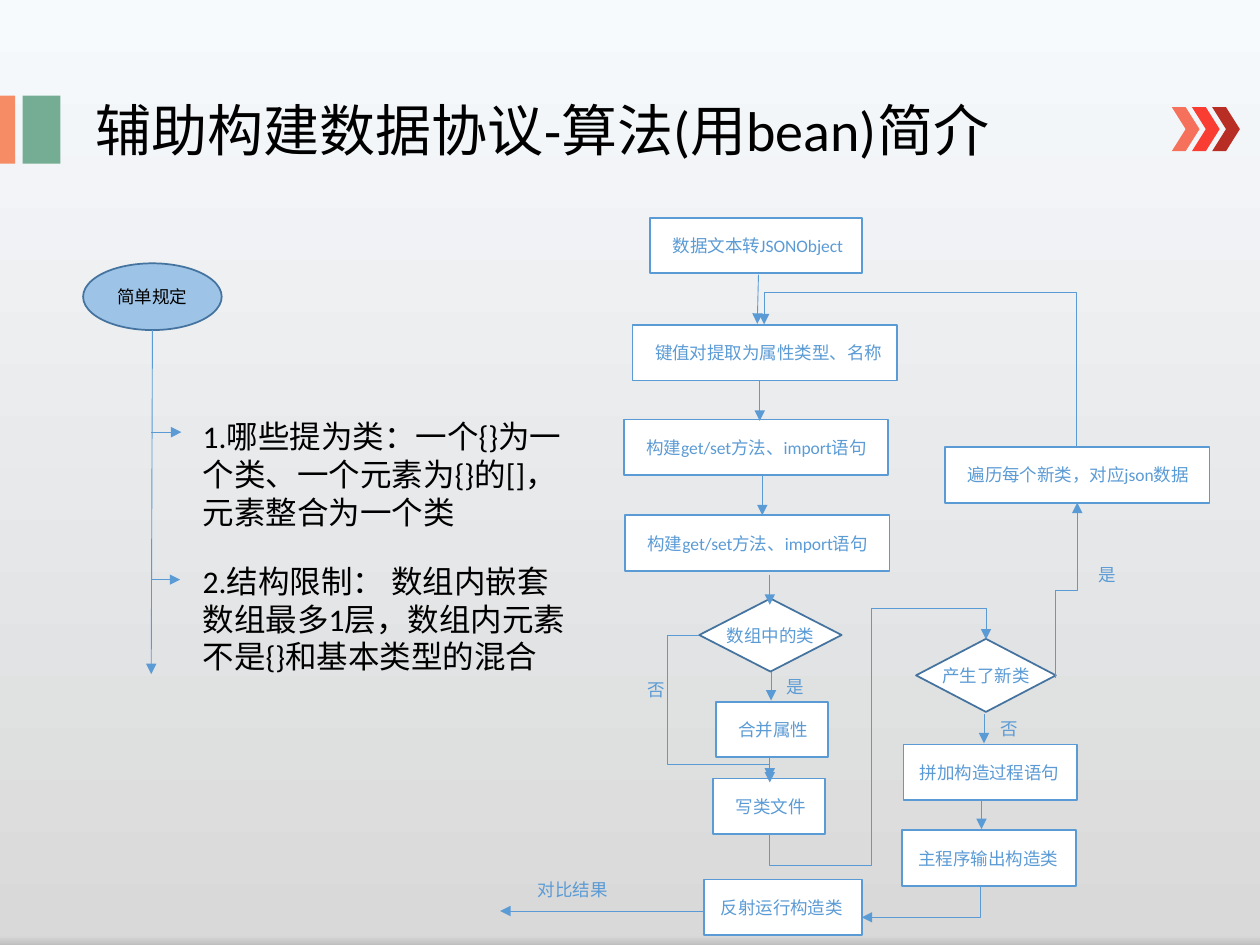
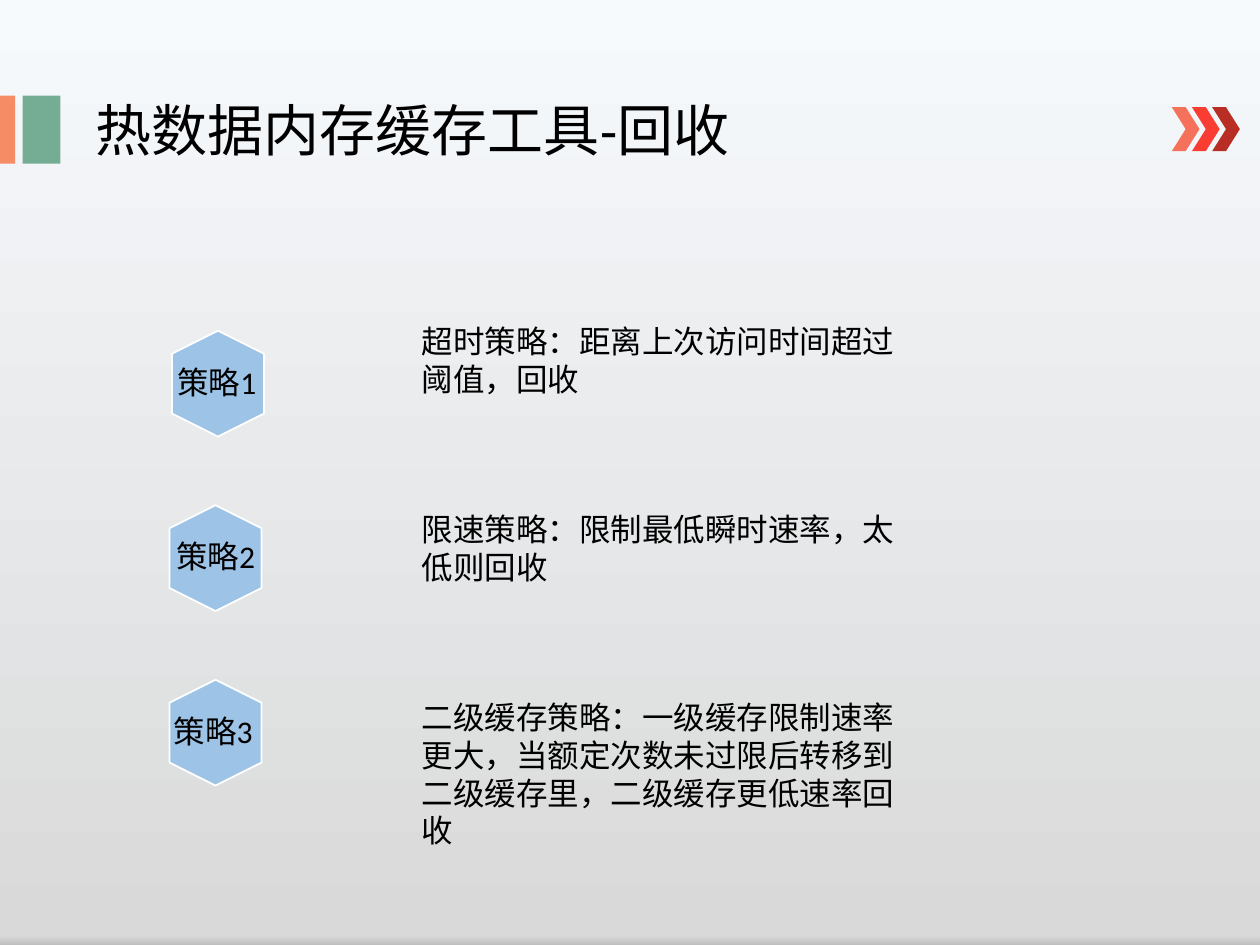
from lxml import etree
from pptx import Presentation
from pptx.dml.color import RGBColor
from pptx.enum.shapes import MSO_CONNECTOR, MSO_SHAPE
from pptx.enum.text import MSO_ANCHOR, PP_ALIGN
from pptx.oxml import parse_xml
from pptx.oxml.ns import nsdecls, qn
from pptx.util import Inches, Pt

RECTANGLE = MSO_SHAPE.RECTANGLE
DIAMOND = MSO_SHAPE.DIAMOND
OVAL = MSO_SHAPE.OVAL
HEXAGON = MSO_SHAPE.HEXAGON
CHEVRON = MSO_SHAPE.CHEVRON
STRAIGHT, ELBOW = MSO_CONNECTOR.STRAIGHT, MSO_CONNECTOR.ELBOW
LEFT, CENTER = PP_ALIGN.LEFT, PP_ALIGN.CENTER
TOP, MIDDLE = MSO_ANCHOR.TOP, MSO_ANCHOR.MIDDLE

FONT = "Calibri"
COLORS = {
    "black": "000000", "white": "FFFFFF", "blue": "5B9BD5", "dark_blue": "43739E",
    "light_blue": "9DC3E6", "orange": "F58C65", "green": "74AD93",
    "coral": "F5715B", "red": "F93D32", "dark_red": "B82E24",
}
BACKGROUND_STOPS = [(0, "F7FAFD"), (99, "D9D9D9"), (100, "BFBFBF")]
TITLE_BARS = [(0, 0.12, "orange"), (0.18, 0.3, "green")]
CHEVRONS = ["coral", "red", "dark_red"]

ALGORITHM_TITLE = "辅助构建数据协议-算法(用bean)简介"
RECYCLING_TITLE = "热数据内存缓存工具-回收"

STEPS = [
    ("数据文本转JSONObject", 5.16, 1.73, 1.68, 0.18),
    ("键值对提取为属性类型、名称", 5.02, 2.58, 2.1, 0.18),
    ("构建get/set方法、import语句", 4.95, 3.33, 2.1, 0.18),
    ("构建get/set方法、import语句", 4.96, 4.09, 2.1, 0.18),
    ("合并属性", 5.68, 5.57, 0.89, 0.18),
    ("写类文件", 5.66, 6.18, 0.89, 0.18),
    ("遍历每个新类，对应json数据", 7.5, 3.55, 2.1, 0.18),
    ("拼加构造过程语句", 7.17, 5.91, 1.38, 0.13),
    ("主程序输出构造类", 7.16, 6.59, 1.38, 0.13),
    ("反射运行构造类", 5.59, 6.98, 1.25, 0.13),
]
DECISIONS = [("数组中的类", 5.55, 4.75, 1.13), ("产生了新类", 7.27, 5.07, 1.11)]
BRANCH_LABELS = [
    ("是", 6.14, 5.32), ("否", 5.04, 5.34), ("否", 7.84, 5.65),
    ("是", 8.62, 4.43), ("对比结果", 4.17, 6.93),
]
RULES = [
    ("1.哪些提为类：一个{}为一个类、一个元素为{}的[]，元素整合为一个类", 3.26),
    ("2.结构限制： 数组内嵌套数组最多1层，数组内元素不是{}和基本类型的混合", 4.41),
]
ARROWS = [
    (6.02, 2.18, 6.01, 2.57), (6.03, 3.02, 6.03, 3.34), (6.05, 3.78, 6.05, 4.09),
    (6.11, 4.56, 6.11, 4.8), (6.12, 5.33, 6.12, 5.56), (6.11, 6.01, 6.11, 6.21),
    (7.81, 5.67, 7.81, 5.9), (7.79, 6.35, 7.79, 6.58), (5.59, 7.23, 3.97, 7.23),
    (1.21, 2.62, 1.2, 5.35), (1.2, 3.43, 1.44, 3.43), (1.2, 4.6, 1.43, 4.6),
]
ELBOWS = [
    ((7.74, 6.71, 6.19, 4.99), 90, [-0.16, 0.47, 1.16]),
    ((9.16, 4.77, 7.77, 4.6), 90, [0.5]),
    ((6.82, 4.3, 7.79, 1.82), 270, [1.26]),
    ((6.84, 7.28, 7.81, 7.03), 180, [0.03]),
    ((6.11, 6.18, 5.55, 5.04), 180, [-0.45, 0.9]),
]

STRATEGIES = [
    ("策略1", 1.31, 1.31, "超时策略：距离上次访问时间超过阈值，回收", 0.71),
    ("策略2", 1.29, 1.3, "限速策略：限制最低瞬时速率，太低则回收", 0.71),
    ("策略3", 1.29, 1.28, "二级缓存策略：一级缓存限制速率更大，当额定次数未过限后转移到二级缓存里，二级缓存更低速率回收", 1.31),
]


def rgb(name):
    return RGBColor.from_string(COLORS[name])


def write(shape, text, size, color, align=LEFT, anchor=TOP, margins=None, wrap=True):
    frame = shape.text_frame
    frame.word_wrap = wrap
    frame.vertical_anchor = anchor
    if margins:
        frame.margin_left, frame.margin_right = (Inches(margin) for margin in margins)
        frame.margin_top = frame.margin_bottom = 0
    paragraph = frame.paragraphs[0]
    paragraph.text = text
    paragraph.alignment = align
    paragraph.font.name = FONT
    paragraph.font.size = Pt(size)
    paragraph.font.color.rgb = rgb(color)


def add_text(page, text, left, top, width, height, size, color="black"):
    box = page.shapes.add_textbox(Inches(left), Inches(top), Inches(width), Inches(height))
    write(box, text, size, color)


def add_block(page, kind, left, top, width, height, fill, line=None):
    block = page.shapes.add_shape(kind, Inches(left), Inches(top), Inches(width), Inches(height))
    block.shadow.inherit = False
    block.fill.solid()
    block.fill.fore_color.rgb = rgb(fill)
    if line:
        block.line.color.rgb = rgb(line)
        block.line.width = Pt(1)
    else:
        block.line.fill.background()
    return block


def add_arrow(page, ends, kind=STRAIGHT):
    arrow = page.shapes.add_connector(kind, *(Inches(value) for value in ends))
    arrow.line.color.rgb = rgb("blue")
    arrow.line.width = Pt(0.5)
    etree.SubElement(arrow.line._get_or_add_ln(), qn("a:tailEnd"), type="triangle")
    etree.SubElement(arrow._element.spPr, qn("a:effectLst"))
    return arrow


def add_elbow(page, ends, rotation, adjustments):
    properties = add_arrow(page, ends, ELBOW)._element.spPr
    properties.find(qn("a:xfrm")).set("rot", str(rotation * 60000))
    geometry = properties.find(qn("a:prstGeom"))
    geometry.set("prst", f"bentConnector{len(adjustments) + 2}")
    guides = geometry.find(qn("a:avLst"))
    for number, value in enumerate(adjustments, 1):
        etree.SubElement(guides, qn("a:gd"), name=f"adj{number}", fmla=f"val {round(value * 100000)}")


def add_page(deck, title):
    page = deck.slides.add_slide(deck.slide_layouts[6])
    stops = "".join(
        f'<a:gs pos="{position * 1000}"><a:srgbClr val="{color}"/></a:gs>'
        for position, color in BACKGROUND_STOPS
    )
    page.element.cSld.insert(0, parse_xml(
        f'<p:bg {nsdecls("p", "a")}><p:bgPr><a:gradFill rotWithShape="1"><a:gsLst>{stops}</a:gsLst>'
        '<a:lin ang="5400000" scaled="0"/></a:gradFill><a:effectLst/></p:bgPr></p:bg>'
    ))
    for left, width, color in TITLE_BARS:
        add_block(page, RECTANGLE, left, 0.76, width, 0.54, color)
    add_text(page, title, 0.66, 0.71, 7.36, 0.64, 32)
    for index, color in enumerate(CHEVRONS):
        add_block(page, CHEVRON, 9.3 + 0.16 * index, 0.85, 0.22, 0.35, color)
    return page


def build_algorithm(deck):
    page = add_page(deck, ALGORITHM_TITLE)
    for text, left, top, width, inset in STEPS:
        step = add_block(page, RECTANGLE, left, top, width, 0.44, "white", "blue")
        write(step, text, 10, "blue", LEFT, MIDDLE, (inset, 0))
    for text, left, top, width in DECISIONS:
        decision = add_block(page, DIAMOND, left, top, width, 0.58, "white", "dark_blue")
        write(decision, text, 10, "blue", CENTER, MIDDLE, (0, 0), wrap=False)
    start = add_block(page, OVAL, 0.66, 2.09, 1.1, 0.53, "light_blue", "dark_blue")
    write(start, "简单规定", 10, "black", CENTER, MIDDLE, (0, 0), wrap=False)
    for text, left, top in BRANCH_LABELS:
        add_text(page, text, left, top, 0.2 + 0.19 * len(text), 0.27, 10, "blue")
    for text, top in RULES:
        add_text(page, text, 1.51, top, 3.14, 1.01, 18)
    for ends in ARROWS:
        add_arrow(page, ends)
    for elbow in ELBOWS:
        add_elbow(page, *elbow)


def build_recycling(deck):
    page = add_page(deck, RECYCLING_TITLE)
    for index, (name, left, name_left, detail, height) in enumerate(STRATEGIES):
        top = 2.68 + 1.385 * index
        badge = add_block(page, HEXAGON, left, top, 0.84, 0.73, "light_blue", "white")
        badge.rotation = 90
        add_text(page, name, name_left, top + 0.15, 1.39, 0.4, 18)
        add_text(page, detail, 3.25, 2.51 + 1.49 * index, 4.16, height, 18)


def main():
    deck = Presentation()
    deck.slide_width, deck.slide_height = Inches(10), Inches(7.5)
    build_algorithm(deck)
    build_recycling(deck)
    deck.save("out.pptx")


if __name__ == "__main__":
    main()
